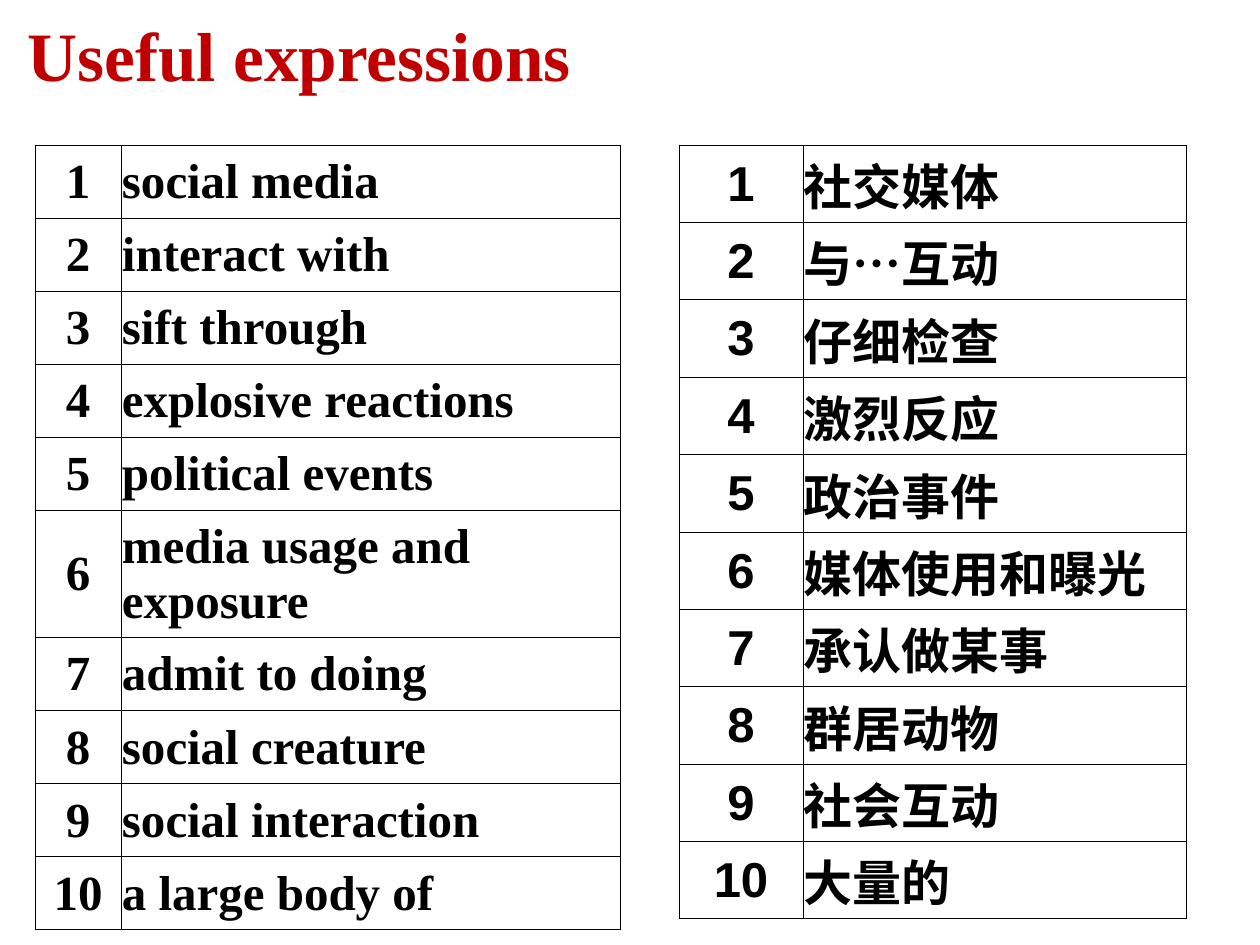
from dataclasses import dataclass

from lxml import etree
from pptx import Presentation
from pptx.dml.color import RGBColor
from pptx.enum.text import MSO_ANCHOR, PP_ALIGN
from pptx.oxml.ns import qn
from pptx.util import Emu, Pt

CENTER, LEFT = PP_ALIGN.CENTER, PP_ALIGN.LEFT
MIDDLE = MSO_ANCHOR.MIDDLE
PX_PER_INCH = 126
TITLE_ONLY = 5
BLACK, WHITE, RED = "000000", "FFFFFF", "C00000"


@dataclass
class PhraseTable:
    left: int
    column_widths: tuple[int, int]
    height: int
    font_name: str
    phrases: list[str]
    phrase_fill: str | None = None
    tall_row: int | None = None
    tall_height: int = 0


TABLE_TOP = 145
TABLES = [
    PhraseTable(
        35, (86, 499), 785, "Times New Roman",
        ["social media", "interact with", "sift through", "explosive reactions",
         "political events", "media usage and exposure", "admit to doing",
         "social creature", "social interaction", "a large body of"],
        phrase_fill=WHITE, tall_row=5, tall_height=127,
    ),
    PhraseTable(
        679, (124, 383), 774, "Arial",
        ["社交媒体", "与…互动", "仔细检查", "激烈反应", "政治事件",
         "媒体使用和曝光", "承认做某事", "群居动物", "社会互动", "大量的"],
    ),
]


def px(length: float) -> Emu:
    return Emu(round(length * 914400 / PX_PER_INCH))


def color(value: str) -> RGBColor:
    return RGBColor.from_string(value)


def set_font(para, name: str, size: float, value: str) -> None:
    para.font.name = name
    para.font.size = Pt(size)
    para.font.bold = True
    para.font.color.rgb = color(value)


def add_borders(cell) -> None:
    properties = cell._tc.get_or_add_tcPr()
    for side in ("a:lnL", "a:lnR", "a:lnT", "a:lnB"):
        line = etree.SubElement(properties, qn(side), w=str(Pt(0.5)))
        fill = etree.SubElement(line, qn("a:solidFill"))
        etree.SubElement(fill, qn("a:srgbClr"), val=BLACK)


def fill_cell(cell, text: str, font_name: str, align: PP_ALIGN, fill: str | None) -> None:
    cell.text = text
    cell.vertical_anchor = MIDDLE
    cell.margin_left = cell.margin_right = cell.margin_top = px(1)
    cell.margin_bottom = 0
    para = cell.text_frame.paragraphs[0]
    para.alignment = align
    set_font(para, font_name, 28, BLACK)
    add_borders(cell)
    if fill:
        cell.fill.solid()
        cell.fill.fore_color.rgb = color(fill)
    else:
        cell.fill.background()


def add_phrase_table(page, layout: PhraseTable) -> None:
    count = len(layout.phrases)
    frame = page.shapes.add_table(
        count, 2, px(layout.left), px(TABLE_TOP),
        px(sum(layout.column_widths)), px(layout.height),
    )
    table = frame.table
    table.first_row = table.horz_banding = False
    for column, width in zip(table.columns, layout.column_widths):
        column.width = px(width)
    normal_count = count - (layout.tall_row is not None)
    normal_height = (layout.height - layout.tall_height) / normal_count
    for index, phrase in enumerate(layout.phrases):
        is_tall = index == layout.tall_row
        table.rows[index].height = px(layout.tall_height if is_tall else normal_height)
        fill_cell(table.cell(index, 0), str(index + 1), layout.font_name, CENTER, WHITE)
        fill_cell(table.cell(index, 1), phrase, layout.font_name, LEFT, layout.phrase_fill)


def add_title(page, text: str) -> None:
    title = page.shapes.title
    title.left, title.top, title.width, title.height = px(15), px(10), px(1134), px(87)
    title.text_frame.text = text
    title.text_frame.vertical_anchor = MIDDLE
    para = title.text_frame.paragraphs[0]
    para.alignment = LEFT
    set_font(para, "Times New Roman", 39.6, RED)


def main() -> None:
    deck = Presentation()
    deck.slide_width, deck.slide_height = px(1260), px(945)
    page = deck.slides.add_slide(deck.slide_layouts[TITLE_ONLY])
    add_title(page, "Useful expressions")
    for layout in TABLES:
        add_phrase_table(page, layout)
    deck.save("out.pptx")


if __name__ == "__main__":
    main()
